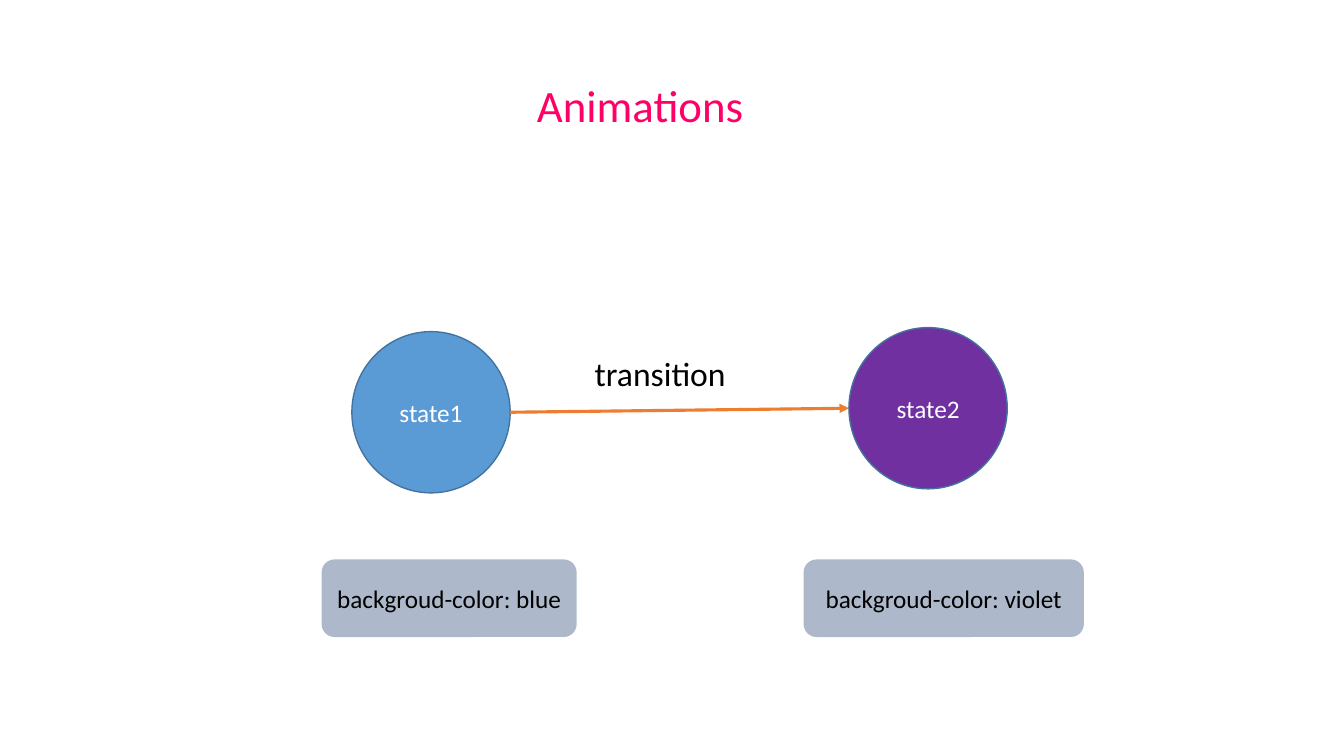
from dataclasses import dataclass

from lxml import etree
from pptx import Presentation
from pptx import util as u
from pptx.dml.color import RGBColor
from pptx.enum import shapes, text
from pptx.oxml import ns

PX = u.Inches(1) // 100


@dataclass(frozen=True)
class Theme:
    font: str = "Calibri"
    title: str = "FF0066"
    ink: str = "000000"
    light: str = "FFFFFF"
    blue: str = "5B9BD5"
    violet: str = "7030A0"
    outline: str = "43739E"
    arrow: str = "ED7D31"
    note: str = "ADB9CA"
    title_size: int = 32
    label_size: int = 24
    body_size: int = 18


THEME = Theme()


def px(*lengths):
    return [u.Emu(length * PX) for length in lengths]


def write(frame, words, size, color, align=text.PP_ALIGN.CENTER):
    para = frame.paragraphs[0]
    para.alignment = align
    span = para.add_run()
    span.text = words
    span.font.name = THEME.font
    span.font.size = u.Pt(size)
    span.font.color.rgb = RGBColor.from_string(color)


def add_label(page, bounds, words, size, color, align):
    frame = page.shapes.add_textbox(*px(*bounds)).text_frame
    frame.word_wrap = False
    frame.auto_size = text.MSO_AUTO_SIZE.SHAPE_TO_FIT_TEXT
    write(frame, words, size, color, align)


def add_filled(page, kind, bounds, words, fill, color, outline=None):
    """Add a filled shape with centred text; without an outline its edge is bare."""
    box = page.shapes.add_shape(kind, *px(*bounds))
    box.shadow.inherit = False
    box.fill.solid()
    box.fill.fore_color.rgb = RGBColor.from_string(fill)
    if outline:
        box.line.color.rgb = RGBColor.from_string(outline)
        box.line.width = u.Pt(1)
    else:
        box.line.fill.background()
    box.text_frame.word_wrap = True
    box.text_frame.vertical_anchor = text.MSO_ANCHOR.MIDDLE
    write(box.text_frame, words, THEME.body_size, color)
    return box


def add_state(page, left, top, words, fill):
    return add_filled(page, shapes.MSO_SHAPE.OVAL, (left, top, 157, 160),
                      words, fill, THEME.light, THEME.outline)


def add_note(page, left, width, words):
    add_filled(page, shapes.MSO_SHAPE.ROUNDED_RECTANGLE, (left, 555, width, 77),
               words, THEME.note, THEME.ink)


def add_arrow(page, source, target):
    """Join the right side of source to the left side of target."""
    arrow = page.shapes.add_connector(
        shapes.MSO_CONNECTOR.STRAIGHT,
        source.left + source.width, source.top + source.height // 2,
        target.left, target.top + target.height // 2)
    arrow.line.color.rgb = RGBColor.from_string(THEME.arrow)
    arrow.line.width = u.Pt(2.25)
    etree.SubElement(arrow.line._get_or_add_ln(), ns.qn("a:tailEnd"), type="triangle")
    etree.SubElement(arrow._element.spPr, ns.qn("a:effectLst"))


def main():
    deck = Presentation()
    deck.slide_width, deck.slide_height = u.Inches(13.33), u.Inches(7.5)
    page = deck.slides.add_slide(deck.slide_layouts[6])

    add_label(page, (521, 72, 238, 64), "Animations ", THEME.title_size,
              THEME.title, text.PP_ALIGN.CENTER)
    first = add_state(page, 349, 329, "state1", THEME.blue)
    second = add_state(page, 842, 325, "state2", THEME.violet)
    add_arrow(page, first, second)
    add_label(page, (580, 345, 152, 50), "transition", THEME.label_size,
              THEME.ink, text.PP_ALIGN.LEFT)
    add_note(page, 319, 253, "backgroud-color: blue")
    add_note(page, 797, 278, "backgroud-color: violet")

    deck.save("out.pptx")


if __name__ == "__main__":
    main()
